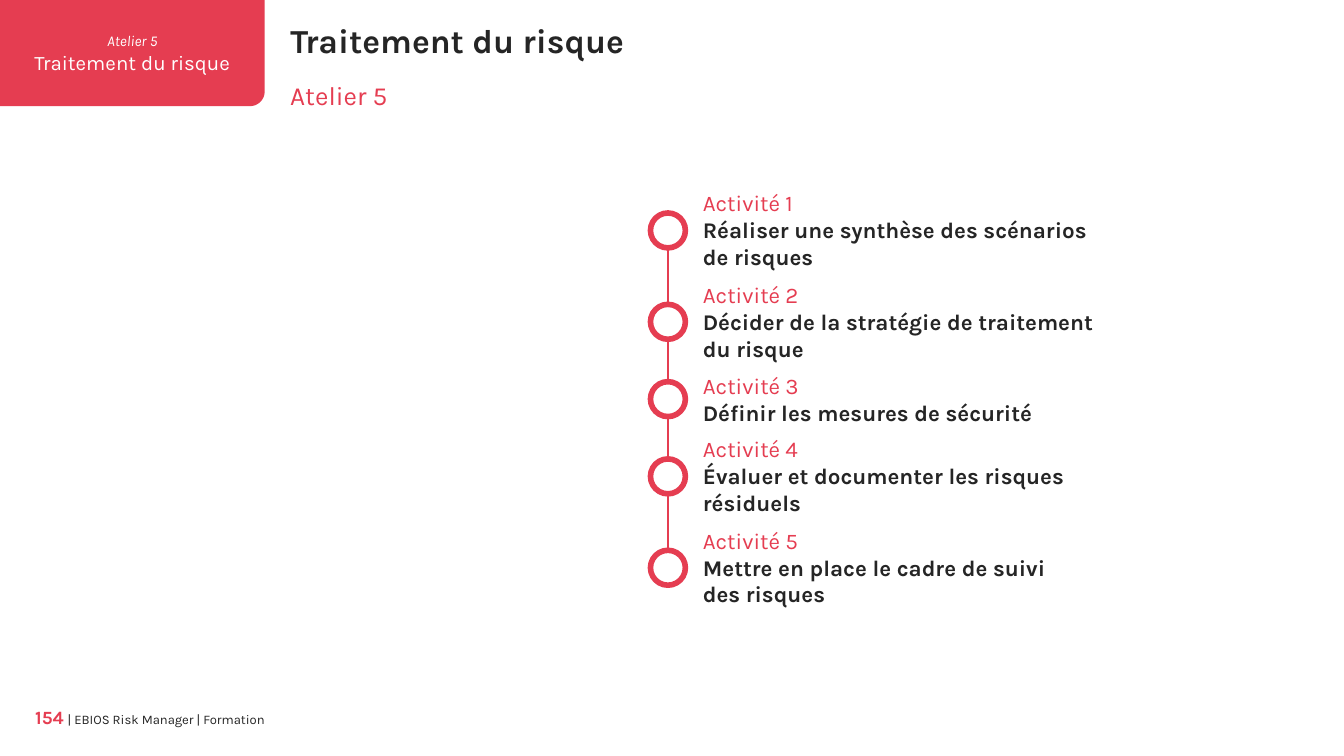
from copy import deepcopy
from math import cos, pi, sin

from lxml.etree import SubElement
from pptx import Presentation
from pptx.dml.color import RGBColor
from pptx.enum.shapes import MSO_CONNECTOR, MSO_SHAPE
from pptx.enum.text import MSO_ANCHOR, MSO_AUTO_SIZE, PP_ALIGN
from pptx.oxml.ns import qn
from pptx.util import Inches, Pt

RED, DARK, GREY, WHITE = "E53D51", "252525", "323232", "FFFFFF"
AXIS_X, DOT = 4.97, 0.26
TEXT_X, FIRST_TOP, GAP = 5.23, 1.41, 0.07

ACTIVITIES = [
    ("Réaliser une synthèse des scénarios de risques", 2.87, 0.61),
    ("Décider de la stratégie de traitement du risque", 3.02, 0.61),
    ("Définir les mesures de sécurité", 3.25, 0.4),
    ("Évaluer et documenter les risques résiduels", 3.25, 0.61),
    ("Mettre en place le cadre de suivi des risques", 2.66, 0.61),
]


def rgb(color):
    return RGBColor.from_string(color)


def add_run(p, text, size, color, **formats):
    r = p.add_run()
    r.text = text
    r.font.color.rgb = rgb(color)
    for name, value in {"name": "Karla", "size": Pt(size), **formats}.items():
        setattr(r.font, name, value)
    return r


def break_after(p, r):
    p.add_line_break()
    p._p[-1].append(deepcopy(r._r.rPr))


def add_text(s, left, top, width, height, grow=True):
    sp = s.shapes.add_textbox(Inches(left), Inches(top), Inches(width), Inches(height))
    tf = sp.text_frame
    formats = {"word_wrap": True, "margin_left": 0, "margin_right": 0,
               "margin_top": 0, "margin_bottom": 0,
               "auto_size": MSO_AUTO_SIZE.SHAPE_TO_FIT_TEXT if grow else MSO_AUTO_SIZE.NONE}
    for name, value in formats.items():
        setattr(tf, name, value)
    return tf.paragraphs[0]


def add_tab(s, width, height, radius):
    steps = 16
    angles = [pi / 2 * i / steps for i in range(steps + 1)]
    corner = [(width - radius + radius * cos(a), height - radius + radius * sin(a))
              for a in angles]
    points = [(width, 0), *corner, (0, height)]
    builder = s.shapes.build_freeform(0, 0, scale=Inches(1) / 1000)
    builder.add_line_segments([(x * 1000, y * 1000) for x, y in points], close=True)
    sp = builder.convert_to_shape()
    sp.shadow.inherit = False
    sp.fill.solid()
    sp.fill.fore_color.rgb = rgb(RED)
    sp.line.fill.background()
    tf = sp.text_frame
    tf.word_wrap = True
    tf.vertical_anchor = MSO_ANCHOR.MIDDLE
    p = tf.paragraphs[0]
    p.alignment = PP_ALIGN.CENTER
    add_run(p, "Atelier 5", 8, WHITE, italic=True)
    p = tf.add_paragraph()
    p.alignment = PP_ALIGN.CENTER
    add_run(p, "Traitement du risque", 11, WHITE)


def add_axis(s, top, bottom):
    line = s.shapes.add_connector(MSO_CONNECTOR.STRAIGHT, Inches(AXIS_X), Inches(top),
                                  Inches(AXIS_X), Inches(bottom))
    line.line.color.rgb = rgb(RED)
    line.line.width = Pt(1.25)
    SubElement(line._element.spPr, qn("a:effectLst"))


def add_dot(s, center_y):
    sp = s.shapes.add_shape(MSO_SHAPE.OVAL, Inches(AXIS_X - DOT / 2),
                            Inches(center_y - DOT / 2), Inches(DOT), Inches(DOT))
    sp.shadow.inherit = False
    sp.fill.solid()
    sp.fill.fore_color.rgb = rgb(WHITE)
    sp.line.color.rgb = rgb(RED)
    sp.line.width = Pt(3)


def add_activity(s, number, title, top, width, height):
    add_dot(s, top + height / 2)
    p = add_text(s, TEXT_X, top, width, height)
    r = add_run(p, f"Activité {number}", 12, RED)
    break_after(p, r)
    add_run(p, title, 12, DARK, bold=True)


def add_footer(s):
    p = add_text(s, 0.2, 5.25, 1.77, 0.2, grow=False)
    p.alignment = PP_ALIGN.RIGHT
    add_run(p, "154", 10, RED, bold=True)
    add_run(p, " ", 9, GREY)
    add_run(p, "| EBIOS Risk Manager | Formation", 7, DARK)


def main():
    prs = Presentation()
    prs.slide_width = Inches(10)
    prs.slide_height = prs.slide_width * 9 // 16
    s = prs.slides.add_slide(prs.slide_layouts[6])
    add_footer(s)
    add_tab(s, 1.97, 0.79, 0.11)
    add_axis(s, 1.59, 4.14)
    top = FIRST_TOP
    for number, (title, width, height) in enumerate(ACTIVITIES, 1):
        add_activity(s, number, title, top, width, height)
        top += height + GAP
    add_run(add_text(s, 2.16, 0.15, 7.48, 0.3), "Traitement du risque", 18, DARK, bold=True)
    add_run(add_text(s, 2.16, 0.59, 7.04, 0.24), "Atelier 5", 14, RED)
    prs.save("out.pptx")


if __name__ == "__main__":
    main()
